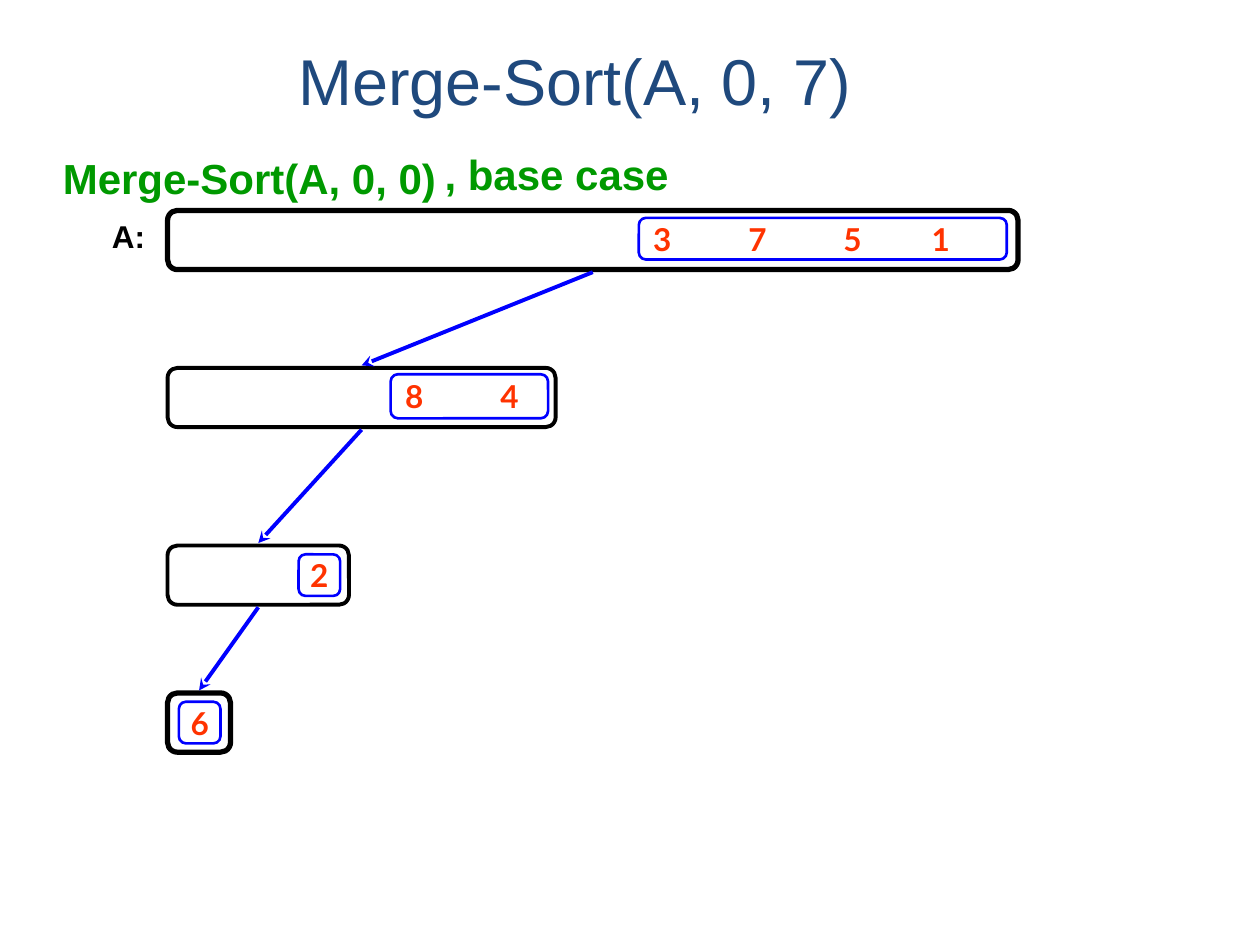
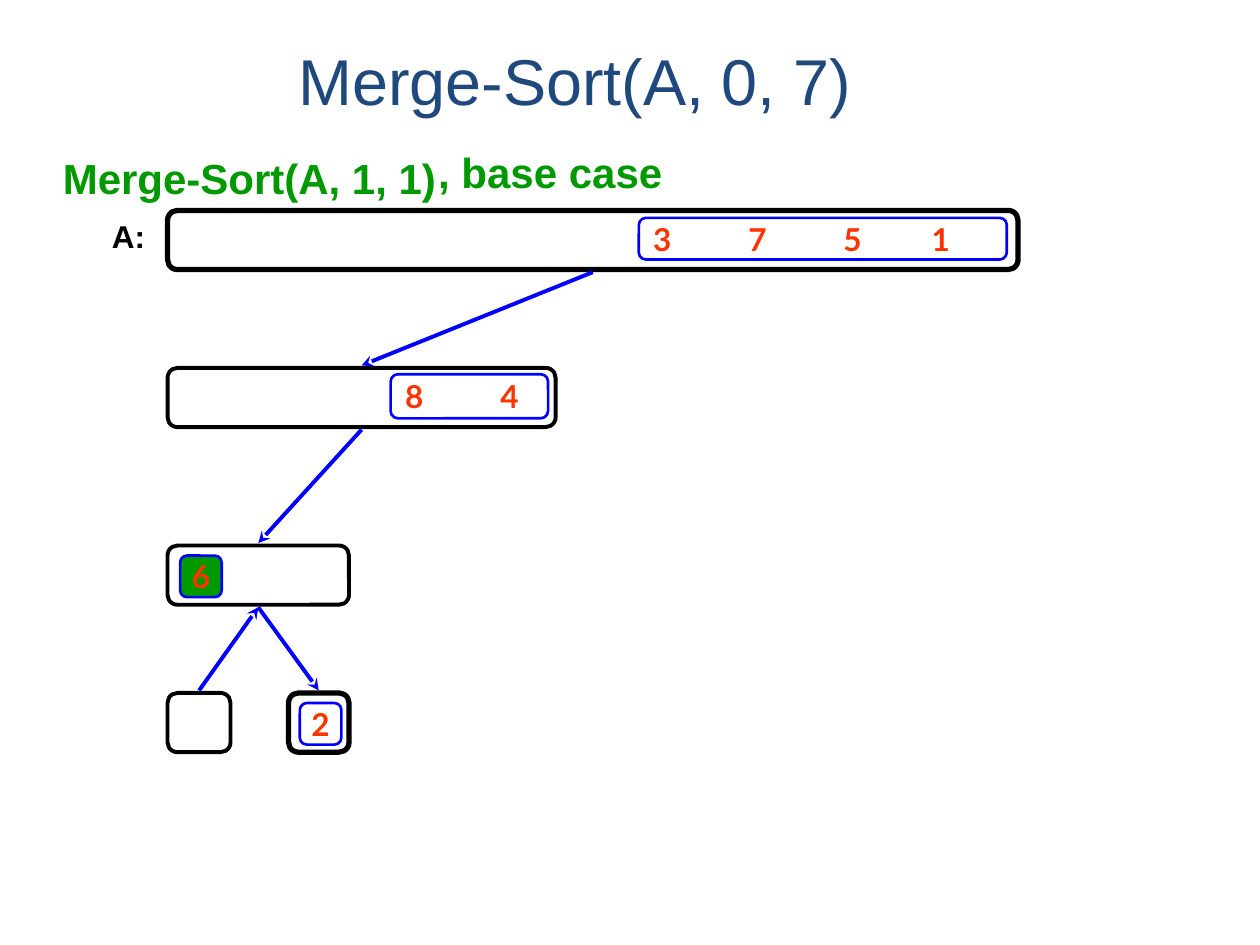
from pptx import Presentation
from pptx.dml.color import RGBColor
from pptx.enum.shapes import MSO_CONNECTOR, MSO_SHAPE
from pptx.enum.text import MSO_ANCHOR, MSO_AUTO_SIZE, PP_ALIGN
from pptx.oxml.ns import qn
from pptx.util import Inches, Pt
from lxml import etree

ROUND, LINE = MSO_SHAPE.ROUNDED_RECTANGLE, MSO_CONNECTOR.STRAIGHT
TOP, MIDDLE, BOTTOM = MSO_ANCHOR.TOP, MSO_ANCHOR.MIDDLE, MSO_ANCHOR.BOTTOM
LEFT, CENTER = PP_ALIGN.LEFT, PP_ALIGN.CENTER

WIDE, HIGH = Inches(10), Inches(7.5)
UNIT = WIDE // 100  # one step of the square grid, 100 columns by 75 rows
COLORS = {"title": "1F497D", "call": "009900", "label": "000000",
          "digit": "FF3300", "array": "000000", "part": "0000FF",
          "arrow": "0000FF", "done": "009900"}
FONTS = {
    "title": {"name": "Arial", "size": Pt(37), "bold": False},
    "call": {"name": "Arial", "size": Pt(24), "bold": True},
    "label": {"name": "Arial", "size": Pt(18), "bold": True},
    "digit": {"name": "Lato", "size": Pt(18), "bold": True},
}
ROWS = [16.7, 29.2, 43.3, 55]
EDGE, DEEP, GAP = 13.3, 4.7, 0.2  # left side, height of an array, arrow gap
ROOT = (EDGE, ROWS[0], 67.5, DEEP)
HALF = (EDGE, ROWS[1], 30.8, DEEP)
PAIR = (EDGE, ROWS[2], 14.4, DEEP)
FIRST = (EDGE, ROWS[3], 5, DEEP)
SECOND = (22.9, ROWS[3], 4.8, DEEP)
CELL = (3.3, 3.3)
STOPS = [7.55, 15.1, 22.1]
THIN, THICK = 2.25, 3


def grid(*steps):
    return [round(step * UNIT) for step in steps]


def color(key):
    return RGBColor.from_string(COLORS[key])


def write(shape, text, style, align=LEFT, anchor=TOP, pads=(1, 0.5, 0, 0.5)):
    frame = shape.text_frame
    left, top, right, bottom = grid(*pads)
    layout = {"text": text, "word_wrap": True, "vertical_anchor": anchor,
              "auto_size": MSO_AUTO_SIZE.NONE, "margin_left": left,
              "margin_top": top, "margin_right": right,
              "margin_bottom": bottom}
    for name, value in layout.items():
        setattr(frame, name, value)
    para = frame.paragraphs[0]
    para.alignment = align
    font = para.runs[0].font
    for name, value in FONTS[style].items():
        setattr(font, name, value)
    font.color.rgb = color(style)
    return para


def add_title(slide, text):
    title = slide.shapes.title
    title.left, title.top, title.width, title.height = grid(4.4, 3.5, 82.5, 6.4)
    write(title, text, "title", CENTER, BOTTOM, (1, 0.5, 1, 0.5))


def add_text(slide, box, text, style):
    write(slide.shapes.add_textbox(*grid(*box)), text, style)


def add_box(slide, box, line, weight, fill=None):
    shape = slide.shapes.add_shape(ROUND, *grid(*box))
    shape.adjustments[0] = 0.167
    shape.shadow.inherit = False
    shape.line.color.rgb = color(line)
    shape.line.width = Pt(weight)
    if fill:
        shape.fill.solid()
        shape.fill.fore_color.rgb = color(fill)
    else:
        shape.fill.background()
    return shape


def add_part(slide, home, shift, size, digits, fill=None):
    """Place a blue box with its digits inside the array box home."""
    box = (home[0] + shift[0], home[1] + shift[1], *size)
    shape = add_box(slide, box, "part", 1.5, fill)
    if len(digits) == 1:
        write(shape, digits, "digit", CENTER, MIDDLE, (0, 0, 0, 0))
        return
    para = write(shape, "\t".join(digits), "digit", LEFT, MIDDLE, (1, 0, 0, 0))
    tabs = etree.SubElement(para._p.get_or_add_pPr(), qn("a:tabLst"))
    for stop in STOPS[:len(digits) - 1]:
        etree.SubElement(tabs, qn("a:tab"), pos=str(grid(stop)[0]), algn="l")


def add_arrow(slide, upper, lower, rising=False):
    """Join the bottom of the upper box to the top of the lower one."""
    ends = [(upper[0] + upper[2] / 2, upper[1] + upper[3] + GAP),
            (lower[0] + lower[2] / 2, lower[1] - GAP)]
    if rising:
        ends.reverse()
    arrow = slide.shapes.add_connector(LINE, *grid(*ends[0], *ends[1]))
    arrow.line.color.rgb = color("arrow")
    arrow.line.width = Pt(THIN)
    etree.SubElement(arrow.line._get_or_add_ln(), qn("a:tailEnd"),
                     type="stealth")
    etree.SubElement(arrow._element.spPr, qn("a:effectLst"))


def add_tree(slide, leaves):
    """Draw the upper levels and the leaves; the last leaf is the active one."""
    for box, weight in ((ROOT, THICK), (HALF, THIN), (PAIR, THIN)):
        add_box(slide, box, "array", weight)
    add_arrow(slide, ROOT, HALF)
    add_arrow(slide, HALF, PAIR)
    for leaf in leaves:
        active = leaf == leaves[-1]
        add_box(slide, leaf, "array", THICK if active else THIN)
        add_arrow(slide, PAIR, leaf, rising=not active)
    add_part(slide, ROOT, (37.4, 0.6), (29.2, 3.3), "3751")
    add_part(slide, HALF, (17.7, 0.5), (12.5, 3.5), "84")


def add_step(deck, call, note, leaves, parts):
    slide = deck.slides.add_slide(deck.slide_layouts[5])
    add_title(slide, "Merge-Sort(A, 0, 7)")
    add_text(slide, (4, 11.6, 35.6, 5), call, "call")
    add_text(slide, (*note, 24.3, 5), ", base case", "call")
    add_text(slide, (7.9, 16.7, 4.7, 4), "A:", "label")
    add_tree(slide, leaves)
    for home, shift, digit, fill in parts:
        add_part(slide, home, shift, CELL, digit, fill)


def main():
    deck = Presentation()
    deck.slide_width, deck.slide_height = WIDE, HIGH
    add_step(deck, "Merge-Sort(A, 0, 0)", (34.3, 11.3), [FIRST],
             [(PAIR, (10.4, 0.7), "2", None), (FIRST, (0.9, 0.7), "6", None)])
    add_step(deck, "Merge-Sort(A, 1, 1)", (33.8, 11.1), [FIRST, SECOND],
             [(PAIR, (1, 0.8), "6", "done"), (SECOND, (0.9, 0.8), "2", None)])
    deck.save("out.pptx")


if __name__ == "__main__":
    main()
